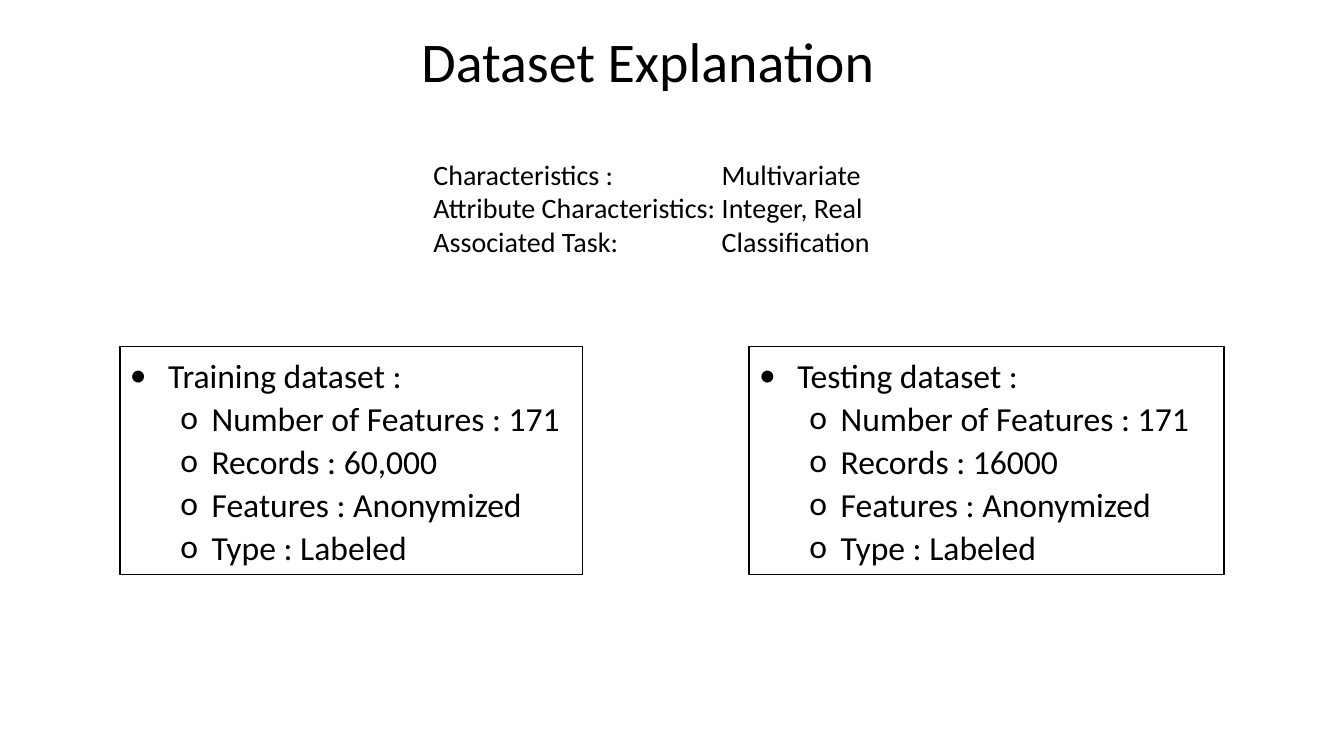
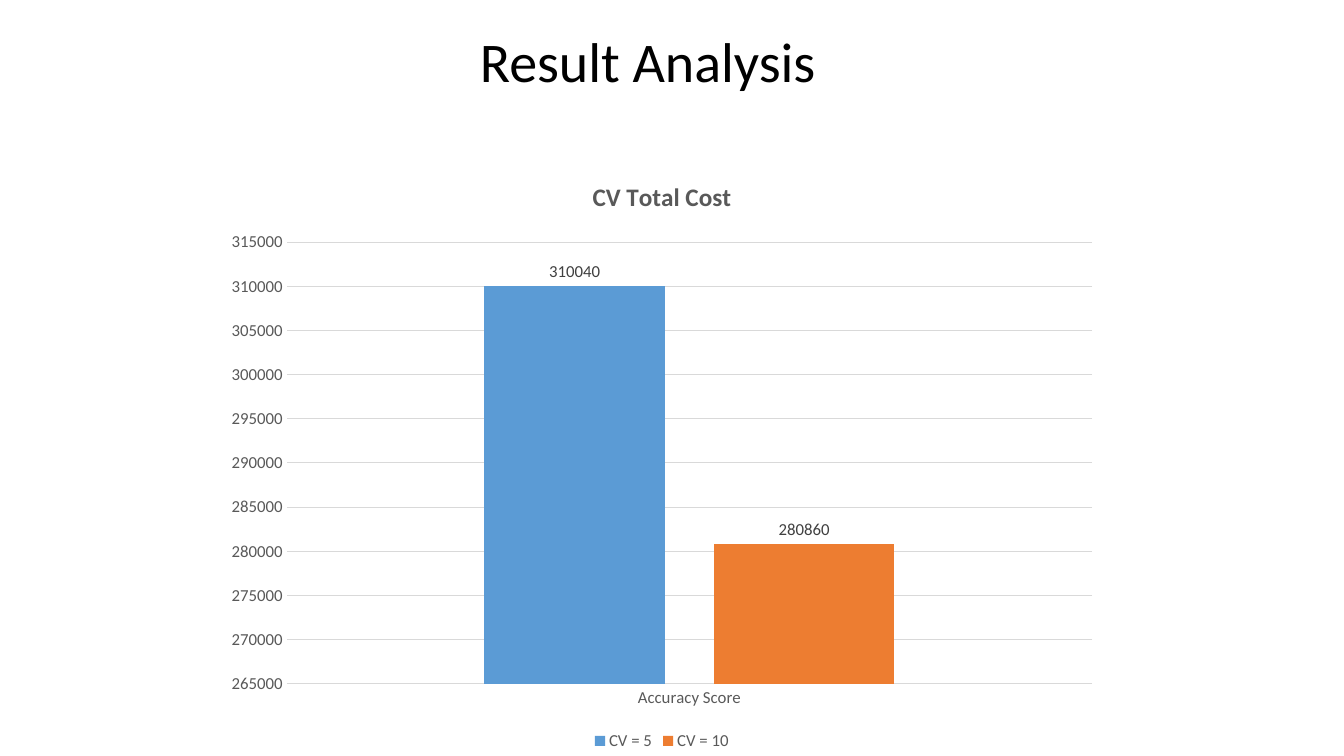
"""Build a two-slide deck describing a dataset and its validation cost."""
from dataclasses import dataclass
from typing import Any

from lxml.etree import SubElement
from pptx import Presentation
from pptx.chart.data import CategoryChartData
from pptx.dml.color import RGBColor
from pptx.enum.chart import XL_CHART_TYPE, XL_LABEL_POSITION, XL_LEGEND_POSITION, XL_TICK_MARK
from pptx.enum.shapes import MSO_SHAPE
from pptx.enum.text import MSO_ANCHOR, MSO_AUTO_SIZE, PP_ALIGN
from pptx.oxml.ns import qn
from pptx.util import Inches, Pt

FONT = "Calibri"
BLACK, WHITE, GRAY, DARK, GRID = "000000", "FFFFFF", "595959", "404040", "D9D9D9"
FRAME = {"word_wrap": True, "auto_size": MSO_AUTO_SIZE.NONE, "vertical_anchor": MSO_ANCHOR.TOP}


@dataclass(frozen=True)
class Box:
    """Position and size in inches."""
    left: float
    top: float
    width: float
    height: float

    def lengths(self) -> tuple:
        """Return the four values as lengths."""
        return tuple(Inches(v) for v in (self.left, self.top, self.width, self.height))


@dataclass(frozen=True)
class Dataset:
    """One outlined dataset summary."""
    box: Box
    name: str
    records: str


@dataclass(frozen=True)
class Bullet:
    """Bullet character with its indents in inches."""
    char: str
    left: float
    hang: float


@dataclass(frozen=True)
class Series:
    """One chart series."""
    name: str
    value: int
    color: str


TITLE_BOX = Box(2.46, 0.21, 7.93, 0.77)
TRAITS_BOX = Box(4.2, 1.51, 4.59, 1.11)
CHART_BOX = Box(2.12, 1.56, 8.89, 5.93)
TRAITS = [("Characteristics :", "Multivariate"),
          ("Attribute Characteristics:", "Integer, Real"),
          ("Associated Task:", "Classification")]
DATASETS = [Dataset(Box(1.19, 3.44, 4.59, 2.26), "Training", "60,000"),
            Dataset(Box(7.43, 3.44, 4.71, 2.26), "Testing", "16000")]
BULLETS = [Bullet("•", 0.38, 0.38), Bullet("o", 0.81, 0.31)]
SERIES = [Series("CV = 5", 310040, "5B9BD5"), Series("CV = 10", 280860, "ED7D31")]


def rgb(value: str) -> RGBColor:
    """Turn a hex string into a colour."""
    return RGBColor.from_string(value)


def apply(obj: Any, values: dict) -> None:
    """Set each attribute of an object from a dict."""
    for name, value in values.items():
        setattr(obj, name, value)


def style_font(font: Any, size: float, color: str, bold: bool = False) -> None:
    """Format a font."""
    apply(font, {"name": FONT, "size": Pt(size), "bold": bold})
    font.color.rgb = rgb(color)


def style_line(line: Any, color: str, width: float) -> None:
    """Format a line."""
    line.color.rgb = rgb(color)
    line.width = Pt(width)


def write(tf: Any, lines: list[str], size: float) -> list:
    """Fill a text frame with one paragraph a line and return the paragraphs."""
    apply(tf, FRAME)
    paragraphs = []
    for i, line in enumerate(lines):
        p = tf.add_paragraph() if i else tf.paragraphs[0]
        p.alignment = PP_ALIGN.LEFT
        r = p.add_run()
        r.text = line
        style_font(r.font, size, BLACK)
        paragraphs.append(p)
    return paragraphs


def add_titled_slide(prs: Any, title: str) -> Any:
    """Add a title-only slide with its title placed and formatted."""
    s = prs.slides.add_slide(prs.slide_layouts[5])
    sp = s.shapes.title
    apply(sp, dict(zip(("left", "top", "width", "height"), TITLE_BOX.lengths())))
    write(sp.text_frame, [title], 40)[0].alignment = PP_ALIGN.CENTER
    return s


def add_traits(s: Any) -> None:
    """Add the trait list with values aligned at a tab stop."""
    sp = s.shapes.add_textbox(*TRAITS_BOX.lengths())
    for p in write(sp.text_frame, ["\t".join(t) for t in TRAITS], 20):
        tabs = SubElement(p._p.get_or_add_pPr(), qn("a:tabLst"))
        SubElement(tabs, qn("a:tab"), pos=str(Inches(2.86)), algn="l")


def set_bullet(p: Any, bullet: Bullet) -> None:
    """Give a paragraph its bullet and hanging indent."""
    pPr = p._p.get_or_add_pPr()
    pPr.set("marL", str(Inches(bullet.left)))
    pPr.set("indent", str(-Inches(bullet.hang)))
    SubElement(pPr, qn("a:buFont"), typeface=FONT)
    SubElement(pPr, qn("a:buChar"), char=bullet.char)


def add_dataset(s: Any, dataset: Dataset) -> None:
    """Add an outlined box with the facts of a dataset."""
    sp = s.shapes.add_shape(MSO_SHAPE.RECTANGLE, *dataset.box.lengths())
    sp.shadow.inherit = False
    sp.fill.solid()
    sp.fill.fore_color.rgb = rgb(WHITE)
    style_line(sp.line, BLACK, 1)
    lines = [f"{dataset.name} dataset :", "Number of Features : 171",
             f"Records : {dataset.records}", "Features : Anonymized", "Type : Labeled"]
    for i, p in enumerate(write(sp.text_frame, lines, 24)):
        level = min(i, 1)
        apply(p, {"level": level, "line_spacing": 1.07})
        set_bullet(p, BULLETS[level])


def add_cost_chart(s: Any) -> None:
    """Add the column chart of total cost."""
    data = CategoryChartData()
    data.categories = ["Accuracy Score"]
    for series in SERIES:
        data.add_series(series.name, [series.value])
    chart = s.shapes.add_chart(XL_CHART_TYPE.COLUMN_CLUSTERED, *CHART_BOX.lengths(), data).chart
    style_font(chart.font, 10, BLACK)
    chart.has_title = True
    chart.chart_title.include_in_layout = False
    tf = chart.chart_title.text_frame
    tf.text = "CV Total Cost"
    style_font(tf.paragraphs[0].runs[0].font, 18, GRAY, True)

    chart.has_legend = True
    apply(chart.legend, {"position": XL_LEGEND_POSITION.BOTTOM, "include_in_layout": False})
    style_font(chart.legend.font, 12, GRAY)

    for axis in (chart.category_axis, chart.value_axis):
        apply(axis, {"major_tick_mark": XL_TICK_MARK.NONE, "minor_tick_mark": XL_TICK_MARK.NONE})
        style_font(axis.tick_labels.font, 12, GRAY)
    style_line(chart.category_axis.format.line, GRID, 0.75)
    axis = chart.value_axis
    apply(axis, {"minimum_scale": 265000, "maximum_scale": 315000, "major_unit": 5000,
                 "has_major_gridlines": True})
    axis.format.line.fill.background()
    style_line(axis.major_gridlines.format.line, GRID, 0.75)

    plot = chart.plots[0]
    apply(plot, {"gap_width": 219, "overlap": -27, "vary_by_categories": False})
    for column, series in zip(plot.series, SERIES):
        column.format.fill.solid()
        column.format.fill.fore_color.rgb = rgb(series.color)
        labels = column.data_labels
        apply(labels, {"show_value": True, "position": XL_LABEL_POSITION.OUTSIDE_END})
        style_font(labels.font, 12, DARK)


def main() -> None:
    """Build and save the deck."""
    prs = Presentation()
    apply(prs, {"slide_width": Inches(13.33), "slide_height": Inches(7.5)})
    s = add_titled_slide(prs, "Dataset Explanation")
    for dataset in DATASETS:
        add_dataset(s, dataset)
    add_traits(s)
    add_cost_chart(add_titled_slide(prs, "Result Analysis"))
    prs.save("out.pptx")


if __name__ == "__main__":
    main()
